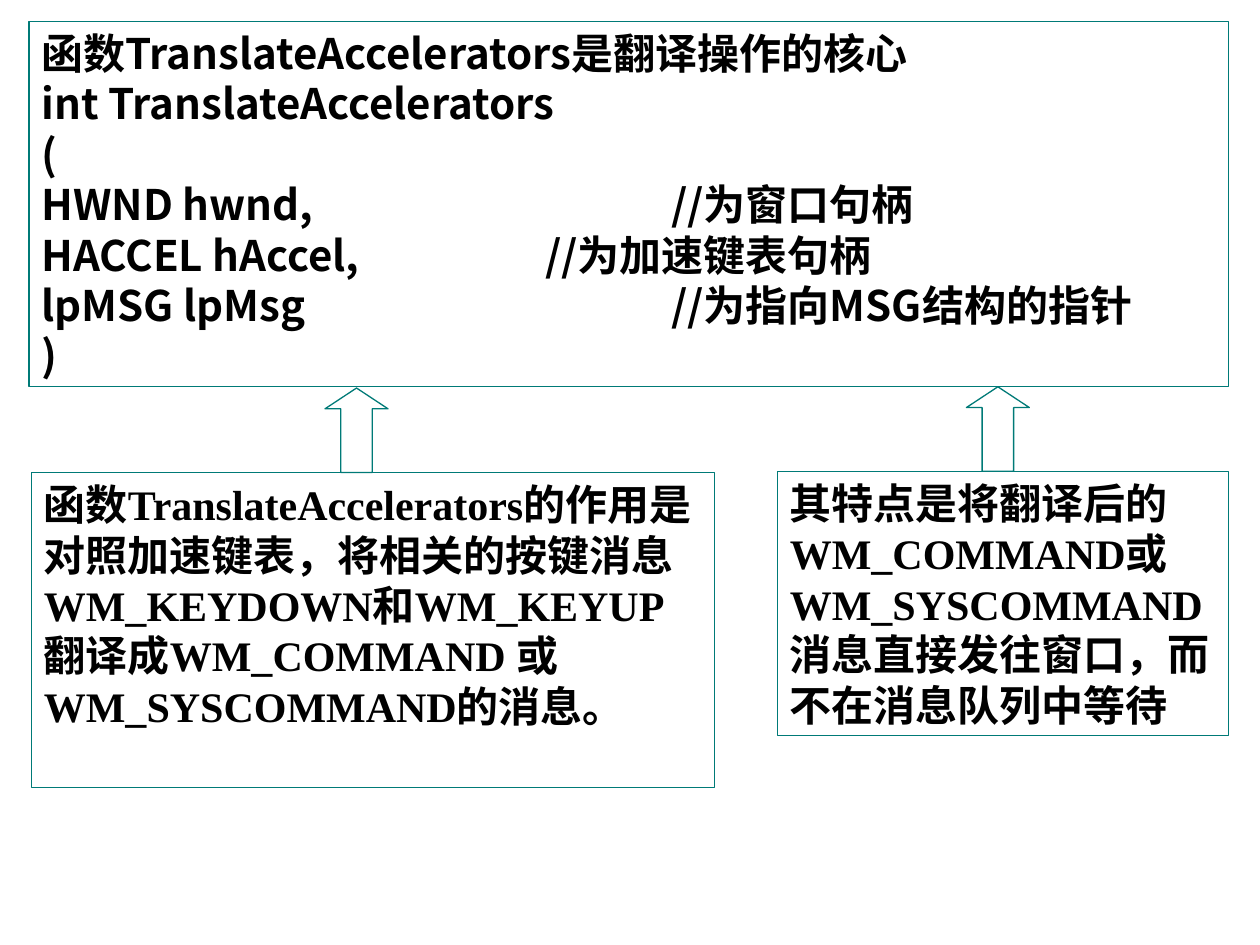
import pptx
import pptx.dml.color
import pptx.enum.shapes
import pptx.enum.text
import pptx.oxml.ns
import pptx.util
from lxml import etree

PX = 9144  # EMU per px, 100 px to the inch
TEAL, BLACK = "007A77", "000000"
CJK_FONT, LATIN_FONT = "Noto Sans CJK SC", "Times New Roman"
SHAPES = pptx.enum.shapes.MSO_SHAPE

SIGNATURE = [
    "函数TranslateAccelerators是翻译操作的核心",
    "int TranslateAccelerators",
    "(",
    "HWND hwnd,\t\t\t//为窗口句柄",
    "HACCEL hAccel,\t\t//为加速键表句柄",
    "lpMSG lpMsg\t\t\t//为指向MSG结构的指针",
    ")",
]
PURPOSE = ("函数TranslateAccelerators的作用是对照加速键表，将相关的按键消息"
           "WM_KEYDOWN和WM_KEYUP 翻译成WM_COMMAND 或WM_SYSCOMMAND的消息。")
FEATURE = ("其特点是将翻译后的WM_COMMAND或WM_SYSCOMMAND消息直接发往窗口，"
           "而不在消息队列中等待")


def color(value):
    return pptx.dml.color.RGBColor.from_string(value)


def add_outline(shapes, kind, box):
    outline = shapes.add_shape(kind, *(n * PX for n in box))
    outline.shadow.inherit = False
    outline.fill.background()
    outline.line.color.rgb = color(TEAL)
    outline.line.width = pptx.util.Pt(0.75)
    return outline


def add_tab_stops(paragraph):
    """Set a left tab stop at every inch."""
    qn = pptx.oxml.ns.qn
    stops = etree.SubElement(paragraph._p.get_or_add_pPr(), qn("a:tabLst"))
    for inch in range(8):
        etree.SubElement(stops, qn("a:tab"), pos=str(inch * 914400), algn="l")


def add_text_panel(shapes, box, lines, font):
    panel = add_outline(shapes, SHAPES.RECTANGLE, box)
    frame = panel.text_frame
    frame.word_wrap = True
    frame.auto_size = pptx.enum.text.MSO_AUTO_SIZE.SHAPE_TO_FIT_TEXT
    frame.vertical_anchor = pptx.enum.text.MSO_ANCHOR.TOP
    for index, line in enumerate(lines):
        paragraph = frame.add_paragraph() if index else frame.paragraphs[0]
        paragraph.alignment = pptx.enum.text.PP_ALIGN.LEFT
        add_tab_stops(paragraph)
        run = paragraph.add_run()
        run.text = line
        run.font.name = font
        run.font.size = pptx.util.Pt(24)
        run.font.bold = True
        run.font.color.rgb = color(BLACK)
        etree.SubElement(run.font._element, pptx.oxml.ns.qn("a:ea"),
                         typeface=CJK_FONT)


def add_note(slide, box, text, arrow_offset):
    """Place a note and, standing on its top edge, an arrow up to the code."""
    left, top, _, _ = box
    arrow_width, arrow_height = 50, 67
    note = slide.shapes.add_group_shape()
    add_text_panel(note.shapes, box, [text], LATIN_FONT)
    arrow = add_outline(note.shapes, SHAPES.UP_ARROW,
                        (left + arrow_offset, top - arrow_height,
                         arrow_width, arrow_height))
    arrow.adjustments[0] = 0.5
    arrow.adjustments[1] = 0.33


def main():
    deck = pptx.Presentation()
    deck.slide_width, deck.slide_height = 1000 * PX, 750 * PX
    slide = deck.slides.add_slide(deck.slide_layouts[6])

    # Function signature
    add_text_panel(slide.shapes, (23, 17, 952, 290), SIGNATURE, CJK_FONT)

    # Explanations below it
    add_note(slide, (25, 375, 542, 250), PURPOSE, 233)
    add_note(slide, (617, 374, 358, 210), FEATURE, 150)

    deck.save("out.pptx")


if __name__ == "__main__":
    main()
